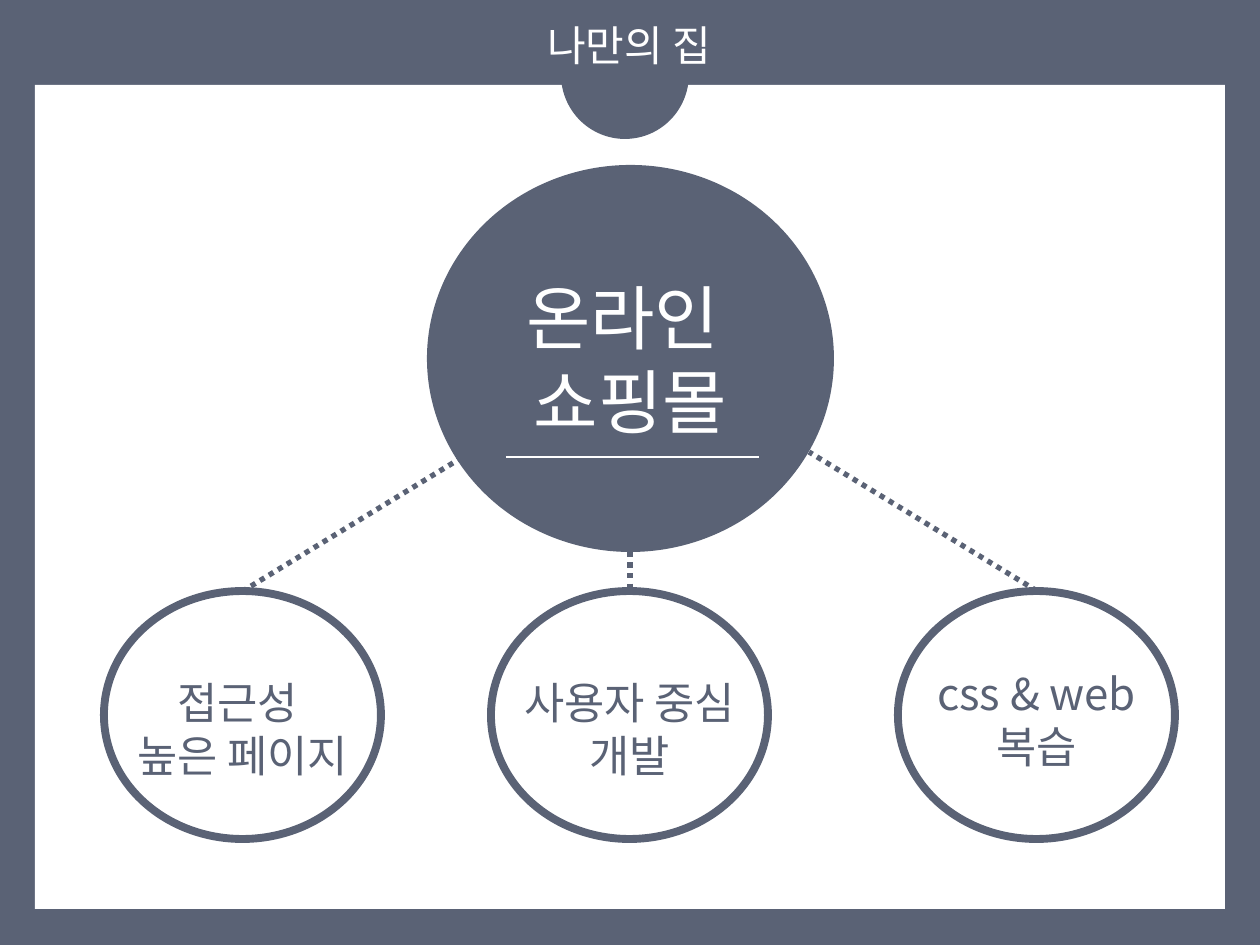
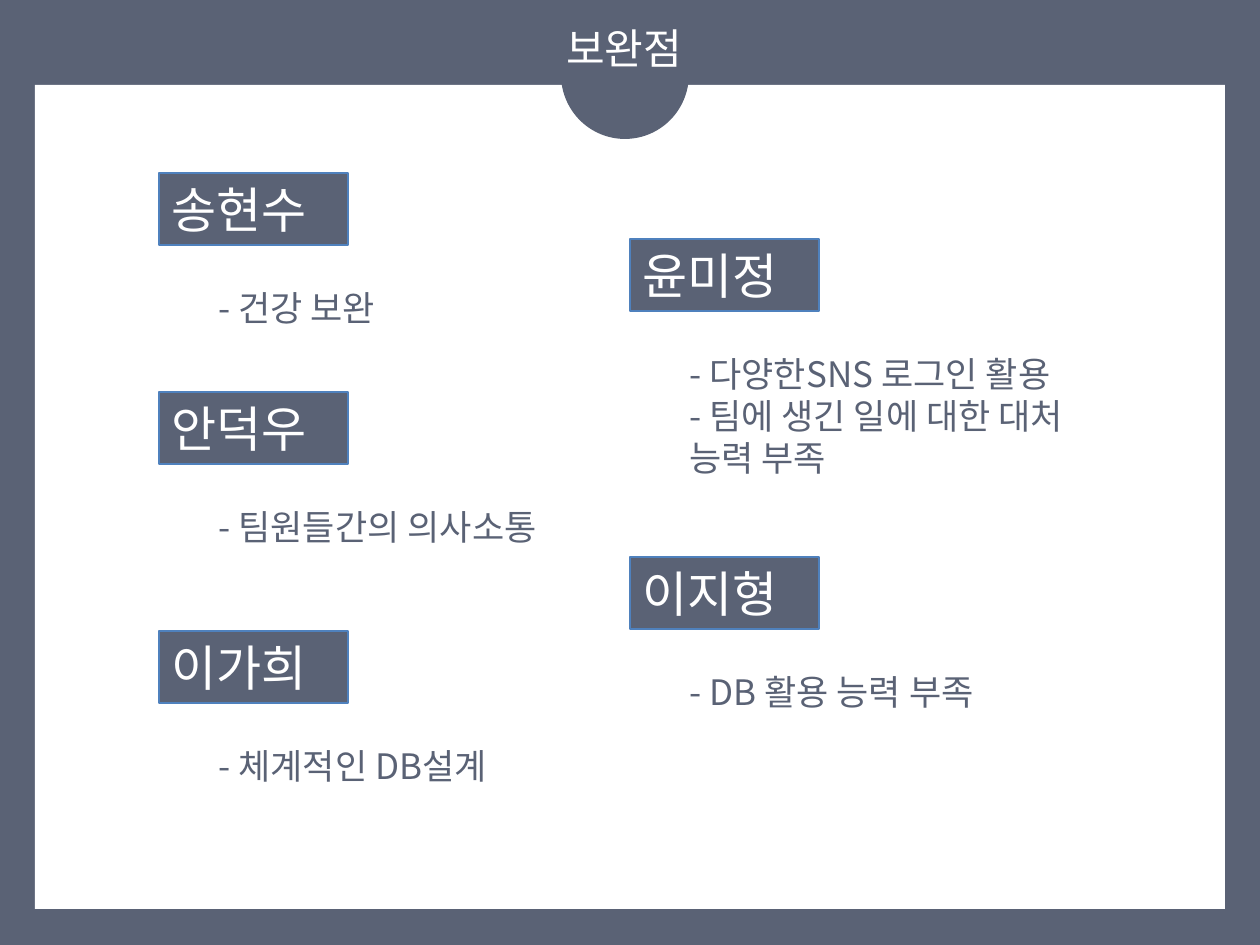
from lxml.etree import SubElement
from pptx import Presentation
from pptx.dml.color import RGBColor
from pptx.enum.dml import MSO_LINE
from pptx.enum.shapes import MSO_CONNECTOR, MSO_SHAPE
from pptx.enum.text import MSO_AUTO_SIZE, PP_ALIGN
from pptx.oxml.ns import qn
from pptx.util import Pt

# Shared look: 126 px to the inch
PX = 7257
FONT = "Noto Sans CJK KR"
SLATE, WHITE, TAG_EDGE = "5A6275", "FFFFFF", "4F81BD"
color = RGBColor.from_string


def add_shape(page, kind, area, fill=None, line=None):
    shape = page.shapes.add_shape(kind, *[value * PX for value in area])
    shape.shadow.inherit = False
    if fill:
        shape.fill.solid()
        shape.fill.fore_color.rgb = color(fill)
    else:
        shape.fill.background()
    if line:
        shape.line.color.rgb = color(line)
        shape.line.width = Pt(4.5)
    else:
        shape.line.fill.background()


def add_text(page, area, lines, size, ink, align=PP_ALIGN.CENTER):
    box = page.shapes.add_textbox(*[value * PX for value in area])
    frame = box.text_frame
    frame.word_wrap = True
    frame.auto_size = MSO_AUTO_SIZE.SHAPE_TO_FIT_TEXT
    for index, line in enumerate(lines):
        para = frame.add_paragraph() if index else frame.paragraphs[0]
        para.alignment = align
        span = para.add_run()
        span.text = line
        for name, value in {"name": FONT, "size": Pt(size)}.items():
            setattr(span.font, name, value)
        span.font.color.rgb = color(ink)
        SubElement(span.font._element, qn("a:ea"), typeface=FONT)
    return box


deck = Presentation()
deck.slide_width, deck.slide_height = 1260 * PX, 945 * PX

# Frame and title of both slides
titles = [("나만의 집", (515, 13, 228, 63)), ("보완점 ", (491, 16, 276, 63))]
pages = []
for title, title_area in titles:
    page = deck.slides.add_slide(deck.slide_layouts[6])
    page.background.fill.solid()
    page.background.fill.fore_color.rgb = color(SLATE)
    add_shape(page, MSO_SHAPE.RECTANGLE, (35, 85, 1190, 824), WHITE)
    add_shape(page, MSO_SHAPE.OVAL, (561, 10, 128, 129), SLATE)
    add_text(page, title_area, [title], 24, WHITE)
    pages.append(page)
concept_page, improvement_page = pages

# Central topic
add_shape(concept_page, MSO_SHAPE.OVAL, (427, 165, 407, 387), SLATE)
add_text(concept_page, (427, 268, 407, 180), ["온라인 ", "쇼핑몰"], 40, WHITE)

# Goals around the topic
goals = [
    (104, 670, ["접근성 ", "높은 페이지"]),
    (491, 670, ["사용자 중심", "개발"]),
    (898, 661, ["css & web", "복습"]),
]
for left, text_top, lines in goals:
    add_shape(concept_page, MSO_SHAPE.OVAL, (left, 591, 277, 248), line=SLATE)
    add_text(concept_page, (left, text_top, 277, 116), lines, 25, SLATE)

# Rule under the topic and dotted links to the goals
links = [
    ((506, 457, 759, 457), WHITE, 0.75, None),
    ((471, 452, 243, 591), SLATE, 3, MSO_LINE.ROUND_DOT),
    ((630, 552, 630, 591), SLATE, 3, MSO_LINE.ROUND_DOT),
    ((1037, 591, 809, 452), SLATE, 3, MSO_LINE.ROUND_DOT),
]
for ends, ink, width, dash in links:
    link = concept_page.shapes.add_connector(
        MSO_CONNECTOR.STRAIGHT, *[value * PX for value in ends])
    link.line.color.rgb = color(ink)
    link.line.width = Pt(width)
    if dash:
        link.line.dash_style = dash
    SubElement(link._element.spPr, qn("a:effectLst"))

# Name tags, each with its notes below
members = [
    (159, 173, "송현수", ["- 건강 보완"]),
    (159, 392, "안덕우", ["- 팀원들간의 의사소통"]),
    (159, 631, "이가희", ["- 체계적인 DB설계"]),
    (630, 239, "윤미정", ["- 다양한SNS 로그인 활용", "- 팀에 생긴 일에 대한 대처 능력 부족"]),
    (630, 557, "이지형", ["- DB 활용 능력 부족"]),
]
for left, top, name, notes in members:
    tag = add_text(improvement_page, (left, top, 189, 72), [name], 28, WHITE, PP_ALIGN.LEFT)
    tag.fill.solid()
    tag.fill.fore_color.rgb = color(SLATE)
    tag.line.color.rgb = color(TAG_EDGE)
    tag.line.width = Pt(0.75)
    note_area = (left + 47, top + 107, 423, 12 + 42 * len(notes))
    add_text(improvement_page, note_area, notes, 20, SLATE, PP_ALIGN.LEFT)

deck.save("out.pptx")
